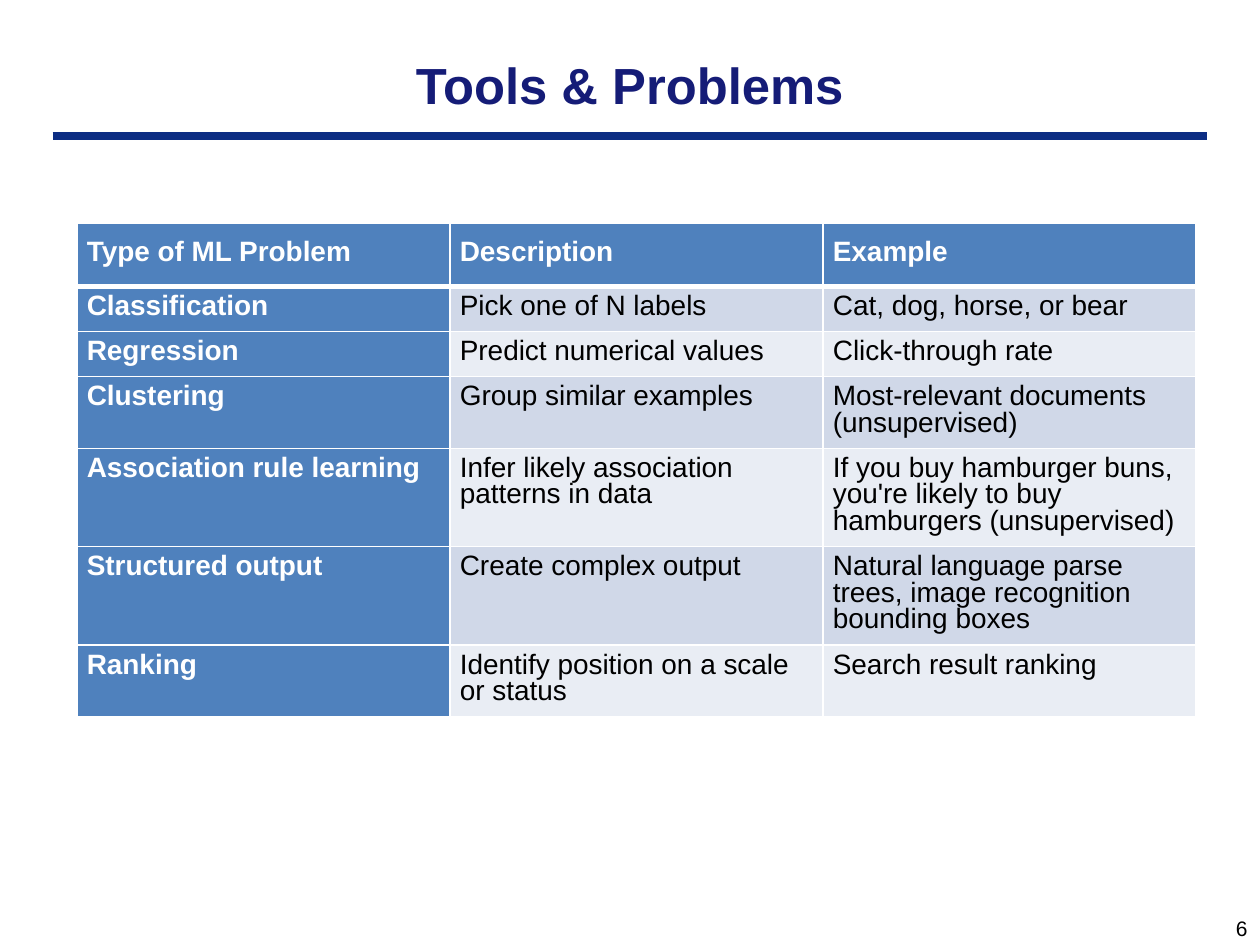
from lxml import etree
from pptx import Presentation
from pptx.dml.color import RGBColor
from pptx.enum.shapes import MSO_CONNECTOR
from pptx.enum.text import MSO_ANCHOR, PP_ALIGN
from pptx.oxml.ns import qn
from pptx.util import Cm, Pt

STRAIGHT = MSO_CONNECTOR.STRAIGHT
TOP, MIDDLE = MSO_ANCHOR.TOP, MSO_ANCHOR.MIDDLE
LEFT, CENTER, RIGHT = PP_ALIGN.LEFT, PP_ALIGN.CENTER, PP_ALIGN.RIGHT

FONT = "Arial"
WHITE, BLACK = "FFFFFF", "000000"
TITLE_COLOR, RULE_COLOR = "151C77", "0C2D83"
HEADER_FILL = "4F81BD"
BAND_FILLS = ("D0D8E8", "E9EDF4")

COLUMN_WIDTH = 7.52
ROW_HEIGHTS = (1.27, 0.9, 0.9, 1.45, 1.98, 1.98, 1.45)
PROBLEMS = (
    ("Type of ML Problem", "Description", "Example"),
    ("Classification", "Pick one of N labels", "Cat, dog, horse, or bear"),
    ("Regression", "Predict numerical values", "Click-through rate"),
    ("Clustering", "Group similar examples", "Most-relevant documents (unsupervised)"),
    ("Association rule learning", "Infer likely association patterns in data",
     "If you buy hamburger buns, you're likely to buy hamburgers (unsupervised)"),
    ("Structured output", "Create complex output",
     "Natural language parse trees, image recognition bounding boxes"),
    ("Ranking", "Identify position on a scale or status", "Search result ranking"),
)


def rgb(color):
    return RGBColor.from_string(color)


def set_attributes(target, values):
    for name, value in values.items():
        setattr(target, name, value)


def write_text(frame, text, size, color, bold=False, align=LEFT, spacing=None):
    para = frame.paragraphs[0]
    set_attributes(para, {"alignment": align, "line_spacing": spacing})
    span = para.add_run()
    span.text = text
    set_attributes(span.font, {"name": FONT, "size": Pt(size), "bold": bold})
    span.font.color.rgb = rgb(color)


def add_text(page, area, text, size, color, anchor=TOP, margin=0, **style):
    frame = page.shapes.add_textbox(*map(Cm, area)).text_frame
    set_attributes(frame, {
        "word_wrap": True, "vertical_anchor": anchor,
        "margin_left": Cm(margin), "margin_right": Cm(margin),
        "margin_top": Cm(margin), "margin_bottom": Cm(margin),
    })
    write_text(frame, text, size, color, **style)


def add_rule(page, left, right, height, color, width):
    """Draw a horizontal line without a shadow."""
    rule = page.shapes.add_connector(STRAIGHT, Cm(left), Cm(height), Cm(right), Cm(height))
    rule.line.color.rgb = rgb(color)
    rule.line.width = Pt(width)
    etree.SubElement(rule._element.spPr, qn("a:effectLst"))


def set_borders(cell, color, widths):
    """Add cell borders; must run before the fill, which follows them in the XML."""
    properties = cell._tc.get_or_add_tcPr()
    for side, width in widths.items():
        border = etree.SubElement(properties, qn(f"a:ln{side}"), w=str(Pt(width)))
        fill = etree.SubElement(border, qn("a:solidFill"))
        etree.SubElement(fill, qn("a:srgbClr"), val=color)


def format_cell(cell, text, row, column):
    is_header = row == 0
    is_heading = is_header or column == 0
    set_attributes(cell, {
        "vertical_anchor": MIDDLE if is_header else TOP,
        "margin_left": Cm(0.2), "margin_right": Cm(0.2),
        "margin_top": Cm(0.2 if is_header else 0.18), "margin_bottom": Cm(0.2),
    })
    set_borders(cell, WHITE, {
        "L": 1, "R": 1, "T": 3 if row == 1 else 1, "B": 3 if is_header else 1,
    })
    cell.fill.solid()
    cell.fill.fore_color.rgb = rgb(HEADER_FILL if is_heading else BAND_FILLS[(row - 1) % 2])
    write_text(cell.text_frame, text, 16, WHITE if is_heading else BLACK,
               bold=is_heading, spacing=Pt(15))


def add_problem_table(page, left, top):
    columns = len(PROBLEMS[0])
    table = page.shapes.add_table(
        len(PROBLEMS), columns, Cm(left), Cm(top),
        Cm(COLUMN_WIDTH * columns), Cm(sum(ROW_HEIGHTS))).table
    for column in table.columns:
        column.width = Cm(COLUMN_WIDTH)
    for row, (texts, height) in enumerate(zip(PROBLEMS, ROW_HEIGHTS)):
        table.rows[row].height = Cm(height)
        for column, text in enumerate(texts):
            format_cell(table.cell(row, column), text, row, column)


def main():
    deck = Presentation()
    deck.slide_width, deck.slide_height = Cm(25.4), Cm(19.05)
    page = deck.slides.add_slide(deck.slide_layouts[6])
    add_rule(page, 1.06, 24.34, 2.75, RULE_COLOR, 4.5)
    add_text(page, (23.5, 18.2, 1.9, 0.57), "6", 12, BLACK, margin=0.25, align=RIGHT)
    add_text(page, (1.27, 0.76, 22.86, 1.88), "Tools & Problems", 29, TITLE_COLOR,
             anchor=MIDDLE, bold=True, align=CENTER)
    add_problem_table(page, 1.55, 4.5)
    deck.save("out.pptx")


if __name__ == "__main__":
    main()
